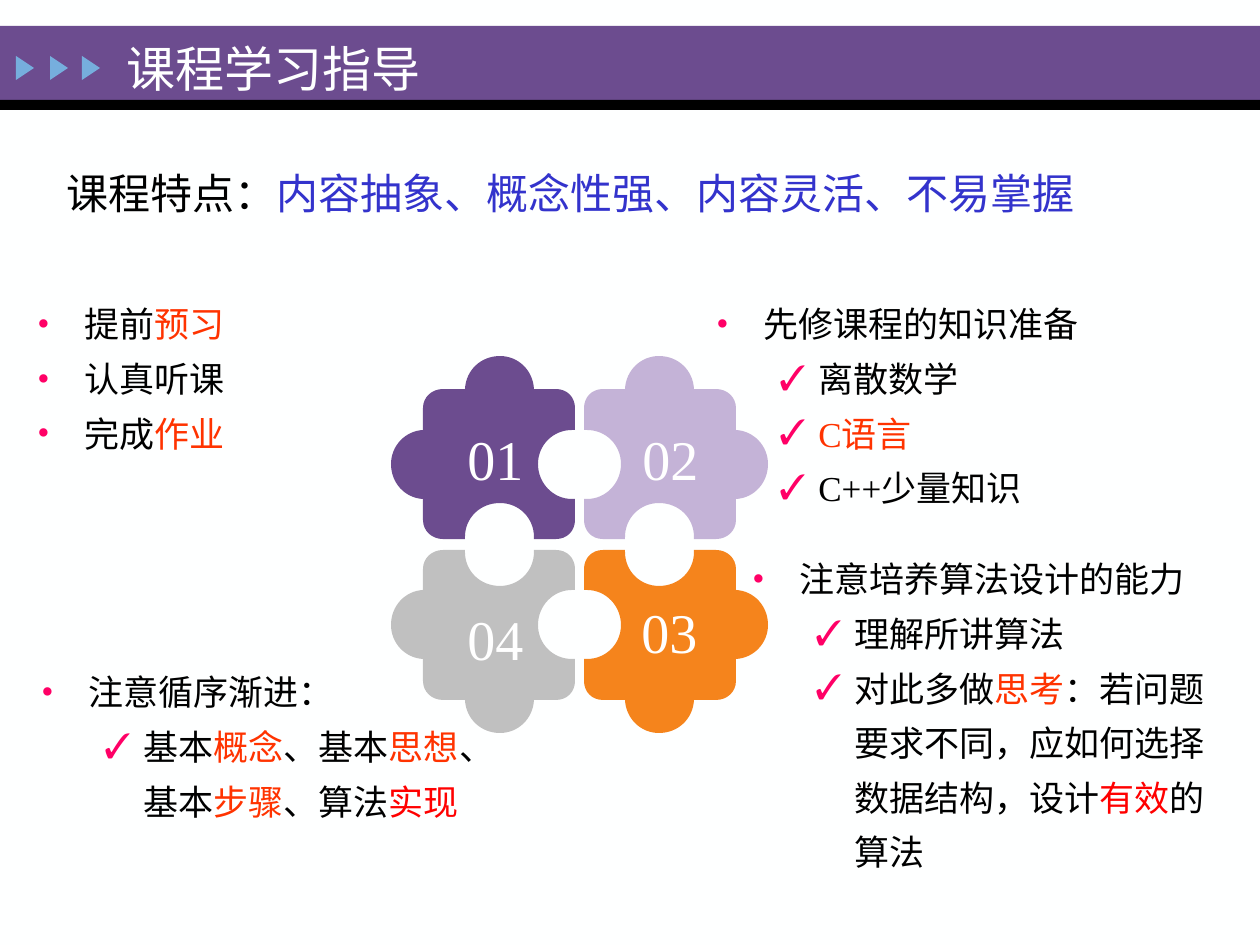
from dataclasses import dataclass

from lxml import etree
from pptx import Presentation
from pptx import util as u
from pptx.dml.color import RGBColor
from pptx.enum import shapes, text
from pptx.oxml.ns import qn

EMU_PER_PX = 914400 / 126

# The top left puzzle piece, clockwise: one point is a line, three are a curve.
PIECE_START = (500, 356)
PIECE_STEPS = [
    [(518, 356), (533, 370), (534, 389)],
    [(556, 389)],
    [(567, 389), (575, 397), (575, 408)],
    [(575, 430)],
    [(572, 430)],
    [(553, 430), (538, 445), (538, 464)],
    [(538, 483), (553, 499), (572, 499)],
    [(573, 499), (574, 499), (575, 499)],
    [(575, 520)],
    [(575, 531), (567, 539), (556, 539)],
    [(534, 539)],
    [(534, 537)],
    [(534, 518), (519, 503), (500, 503)],
    [(480, 503), (465, 518), (465, 537)],
    [(465, 538), (465, 538), (465, 539)],
    [(443, 539)],
    [(432, 539), (423, 531), (423, 520)],
    [(423, 499)],
    [(405, 498), (391, 483), (391, 464)],
    [(391, 446), (405, 431), (423, 430)],
    [(423, 408)],
    [(423, 397), (432, 389), (443, 389)],
    [(465, 389)],
    [(466, 370), (481, 356), (500, 356)],
]


@dataclass(frozen=True)
class Theme:
    font: str = "Times New Roman"
    background: str = "FEFFFF"
    white: str = "FFFFFF"
    black: str = "000000"
    purple: str = "6C4C8F"
    lilac: str = "C4B3D7"
    orange: str = "F5841C"
    grey: str = "C0C0C0"
    arrow: str = "76AEDD"
    blue: str = "3333CC"
    accent: str = "FF3300"
    red: str = "FF0000"
    bullet: str = "FF0066"
    title_size: int = 28
    lead_size: int = 24
    body_size: int = 20
    number_size: int = 32


THEME = Theme()


def px(value):
    return u.Emu(round(value * EMU_PER_PX))


def set_all(target, values):
    for name, value in values.items():
        setattr(target, name, value)


class SlideBuilder:
    def __init__(self, slide, theme):
        self.slide = slide
        self.theme = theme
        self.fill(slide.background, theme.background)

    def fill(self, target, color):
        target.fill.solid()
        target.fill.fore_color.rgb = RGBColor.from_string(color)

    def finish(self, shape, color):
        self.fill(shape, color)
        shape.line.fill.background()
        shape.shadow.inherit = False

    def block(self, kind, left, top, width, height, color, rotation=0):
        shape = self.slide.shapes.add_shape(kind, px(left), px(top), px(width), px(height))
        shape.rotation = rotation
        self.finish(shape, color)

    def curved_outline(self, start, steps, color):
        """Build a freeform from the end points, then give its path the curves."""
        ends = [(px(x), px(y)) for x, y in [start] + [step[-1] for step in steps]]
        builder = self.slide.shapes.build_freeform(*ends[0], scale=1.0)
        builder.add_line_segments(ends[1:], close=True)
        shape = builder.convert_to_shape()
        self.finish(shape, color)
        path = next(shape.element.iter(qn("a:path")))
        for child in list(path):
            path.remove(child)
        for tag, points in [("a:moveTo", [start])] + [
                ("a:cubicBezTo" if len(step) == 3 else "a:lnTo", step) for step in steps]:
            command = etree.SubElement(path, qn(tag))
            for x, y in points:
                etree.SubElement(command, qn("a:pt"), x=str(px(x) - shape.left),
                                 y=str(px(y) - shape.top))
        etree.SubElement(path, qn("a:close"))

    def runs(self, paragraph, parts, size):
        """Write parts, each (wording, colour)."""
        for wording, color in parts:
            run = paragraph.add_run()
            run.text = wording
            set_all(run.font, {"name": self.theme.font, "size": u.Pt(size), "bold": False})
            run.font.color.rgb = RGBColor.from_string(color)

    def title(self, wording, left, top, width, height):
        title = self.slide.shapes.title
        set_all(title, {"left": px(left), "top": px(top), "width": px(width), "height": px(height)})
        title.text_frame.vertical_anchor = text.MSO_ANCHOR.MIDDLE
        paragraph = title.text_frame.paragraphs[0]
        paragraph.alignment = text.PP_ALIGN.LEFT
        self.runs(paragraph, [(wording, self.theme.background)], self.theme.title_size)
        title.element.getparent().append(title.element)  # in front of the band

    def text_box(self, left, top, width, height, wrap=True):
        box = self.slide.shapes.add_textbox(px(left), px(top), px(width), px(height))
        box.text_frame.word_wrap = wrap
        return box.text_frame

    def label(self, parts, left, top, width, height, size, wrap=True):
        frame = self.text_box(left, top, width, height, wrap)
        self.runs(frame.paragraphs[0], parts, size)

    def bullet(self, paragraph, level):
        symbol, margin, hanging = (("•", 47, 47), ("✓", 102, 39))[level]
        properties = paragraph._p.get_or_add_pPr()
        properties.set("marL", str(px(margin)))
        properties.set("indent", str(-px(hanging)))
        color = etree.SubElement(properties, qn("a:buClr"))
        etree.SubElement(color, qn("a:srgbClr"), val=self.theme.bullet)
        etree.SubElement(properties, qn("a:buFont"), typeface=self.theme.font)
        etree.SubElement(properties, qn("a:buChar"), char=symbol)
        set_all(paragraph, {"level": level, "line_spacing": 1.3})

    def bullets(self, items, left, top, width, height):
        """Write items, each (level, parts)."""
        frame = self.text_box(left, top, width, height)
        for index, (level, parts) in enumerate(items):
            paragraph = frame.add_paragraph() if index else frame.paragraphs[0]
            self.bullet(paragraph, level)
            self.runs(paragraph, parts, self.theme.body_size)


def plain(wording):
    return wording, THEME.black


def accent(wording):
    return wording, THEME.accent


def red(wording):
    return wording, THEME.red


def add_header(builder):
    rectangle = shapes.MSO_SHAPE.RECTANGLE
    builder.block(rectangle, 0, 26, 1260, 74, THEME.purple)
    builder.block(rectangle, 0, 100, 1260, 10, THEME.black)
    for left in (13, 47, 79):
        builder.block(shapes.MSO_SHAPE.ISOSCELES_TRIANGLE, left, 59, 24, 18, THEME.arrow, 90)
    builder.title("课程学习指导", 114, 20, 882, 95)


def add_puzzle(builder):
    pieces = [
        ("01", THEME.purple, False, False, 455, 418),
        ("02", THEME.lilac, True, False, 630, 418),
        ("03", THEME.orange, True, True, 629, 591),
        ("04", THEME.grey, False, True, 455, 598),
    ]
    for number, color, flip_x, flip_y, left, top in pieces:
        def place(point):
            x, y = point
            return 1159 - x if flip_x else x, 1089 - y if flip_y else y

        steps = [[place(point) for point in step] for step in PIECE_STEPS]
        builder.curved_outline(place(PIECE_START), steps, color)
        builder.label([(number, THEME.white)], left, top, 83, 81, THEME.number_size, wrap=False)


def add_advice(builder):
    builder.label([plain("课程特点："), ("内容抽象、概念性强、内容灵活、不易掌握", THEME.blue)],
                  54, 161, 1081, 63, THEME.lead_size)
    builder.bullets([
        (0, [plain("提前"), accent("预习")]),
        (0, [plain("认真听课")]),
        (0, [plain("完成"), accent("作业")]),
    ], 25, 284, 360, 193)
    builder.bullets([
        (0, [plain("先修课程的知识准备")]),
        (1, [plain("离散数学")]),
        (1, [accent("C语言")]),
        (1, [plain("C++少量知识")]),
    ], 704, 284, 501, 243)
    builder.bullets([
        (0, [plain("注意循序渐进：")]),
        (1, [plain("基本"), accent("概念"), plain("、基本"), accent("思想"), plain("、基本"),
             accent("步骤"), plain("、算法"), red("实现")]),
    ], 29, 652, 494, 193)
    builder.bullets([
        (0, [plain("注意培养算法设计的能力")]),
        (1, [plain("理解所讲算法")]),
        (1, [plain("对此多做"), accent("思考"),
             plain("：若问题要求不同，应如何选择数据结构，设计"), red("有效"), plain("的算法")]),
    ], 740, 539, 494, 335)


def main():
    presentation = Presentation()
    set_all(presentation, {"slide_width": px(1260), "slide_height": px(945)})
    slide = presentation.slides.add_slide(presentation.slide_layouts[5])
    builder = SlideBuilder(slide, THEME)
    add_header(builder)
    add_puzzle(builder)
    add_advice(builder)
    presentation.save("out.pptx")


if __name__ == "__main__":
    main()
